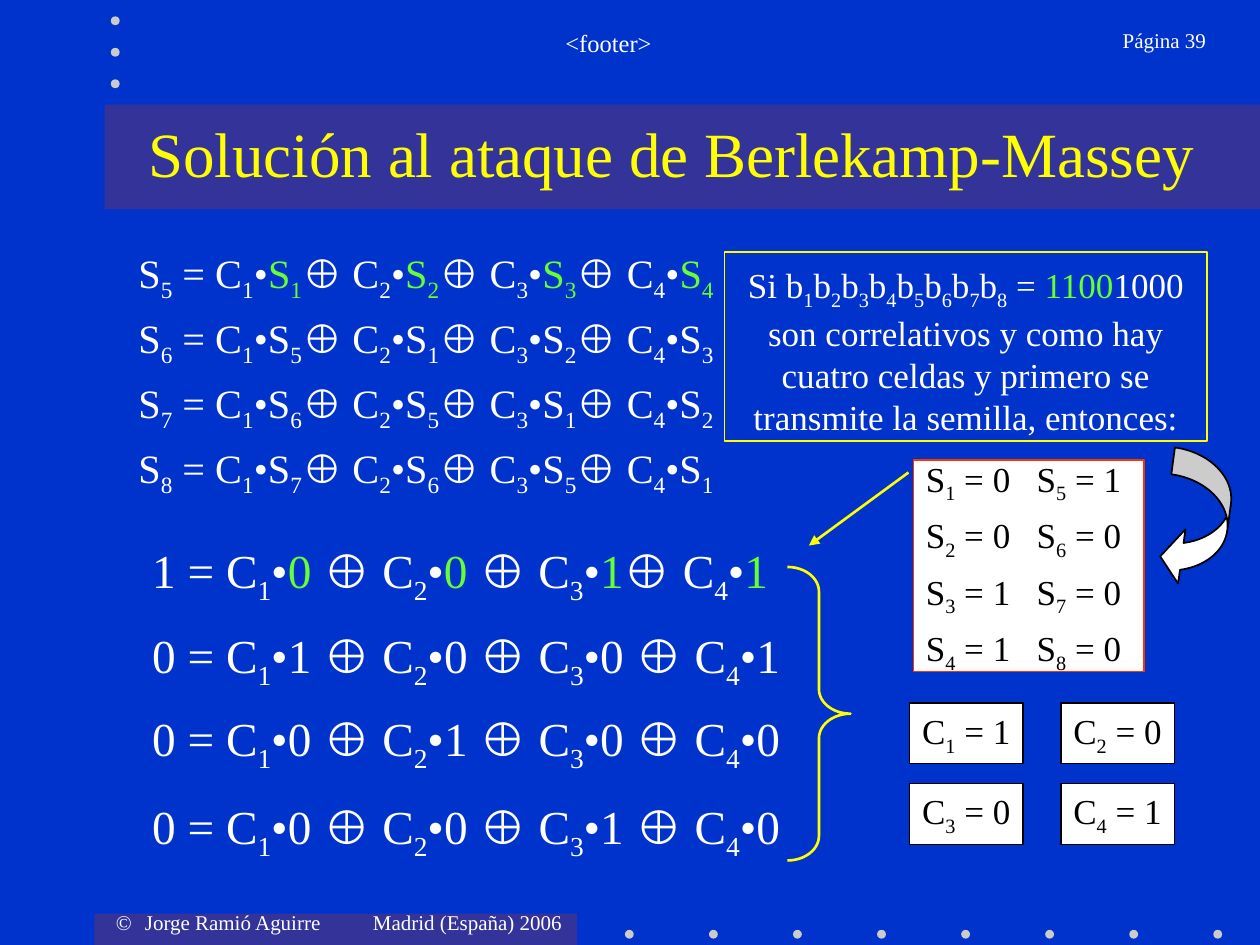
import itertools
from dataclasses import dataclass
from typing import Iterator, Optional

import pptx
import pptx.dml.color
import pptx.enum.shapes
import pptx.enum.text
import pptx.oxml
import pptx.oxml.ns
import pptx.util

Inches = pptx.util.Inches
Pt = pptx.util.Pt
Shape = pptx.enum.shapes.MSO_SHAPE
Align = pptx.enum.text.PP_ALIGN
Anchor = pptx.enum.text.MSO_ANCHOR

WHITE, BLACK, YELLOW, GREEN = "FFFFFF", "000000", "FFFF00", "66FF33"
BAND, DOT, RED, BLUE = "333399", "CBCBCB", "FF3300", "0033CC"


@dataclass(frozen=True)
class Box:
    left: float
    top: float
    width: float
    height: float

    def lengths(self) -> tuple:
        return tuple(Inches(n) for n in (self.left, self.top, self.width, self.height))


@dataclass(frozen=True)
class Coefficient:
    index: int
    value: int
    column: int
    row: int


def rgb(code: str):
    return pptx.dml.color.RGBColor.from_string(code)


def styled_pieces(markup: str, color: str) -> Iterator[tuple]:
    """Split markup: _n is a subscript digit, {...} is green."""
    letters = []
    subscript, ink = False, color
    for letter in markup:
        if letter == "_":
            subscript = True
        elif letter in "{}":
            ink = GREEN if letter == "{" else color
        else:
            font = "Arial" if letter == "⊕" else "Times New Roman"
            letters.append((letter, (subscript, ink, font)))
            subscript = False
    for style, group in itertools.groupby(letters, key=lambda pair: pair[1]):
        yield "".join(letter for letter, _ in group), style


def write(shape, *lines: str, size: float, color: str = WHITE, align=Align.LEFT,
          anchor=Anchor.TOP, space: float = 0, inset: float = 0.1,
          right_inset: float = 0.1, margin: float = 0.05, wrap: bool = True,
          tabs: tuple = ()) -> None:
    frame = shape.text_frame
    frame.word_wrap = wrap
    frame.vertical_anchor = anchor
    frame.margin_left, frame.margin_right = Inches(inset), Inches(right_inset)
    frame.margin_top = frame.margin_bottom = Inches(margin)
    for number, line in enumerate(lines):
        paragraph = frame.add_paragraph() if number else frame.paragraphs[0]
        paragraph.alignment = align
        paragraph.space_before = Pt(space if number else 0)
        if tabs:
            stops = pptx.oxml.ns.qn("a:tabLst")
            tab_list = paragraph._p.get_or_add_pPr().makeelement(stops, {})
            for position in tabs:
                tab_list.append(tab_list.makeelement(
                    pptx.oxml.ns.qn("a:tab"),
                    {"pos": str(Inches(position)), "algn": "l"}))
            paragraph._p.get_or_add_pPr().append(tab_list)
        for text, (subscript, ink, font) in styled_pieces(line, color):
            run = paragraph.add_run()
            run.text = text
            run.font.size, run.font.name = Pt(size), font
            run.font.color.rgb = rgb(ink)
            if subscript:
                run._r.get_or_add_rPr().set("baseline", "-25000")


def add_text(slide, box: Box, *lines: str, **formatting) -> None:
    write(slide.shapes.add_textbox(*box.lengths()), *lines, **formatting)


def add_figure(slide, kind, box: Box, fill: Optional[str] = None,
               line: Optional[str] = None, weight: float = 0.75):
    figure = slide.shapes.add_shape(kind, *box.lengths())
    figure.shadow.inherit = False
    if fill:
        figure.fill.solid()
        figure.fill.fore_color.rgb = rgb(fill)
    else:
        figure.fill.background()
    if line:
        figure.line.color.rgb = rgb(line)
        figure.line.width = Pt(weight)
    else:
        figure.line.fill.background()
    return figure


def add_arrow(slide, start: tuple, end: tuple, color: str, weight: float) -> None:
    arrow = slide.shapes.add_connector(
        pptx.enum.shapes.MSO_CONNECTOR.STRAIGHT, *(Inches(n) for n in start + end))
    arrow.line.color.rgb = rgb(color)
    arrow.line.width = Pt(weight)
    qn = pptx.oxml.ns.qn
    outline = arrow.line._get_or_add_ln()
    outline.append(outline.makeelement(qn("a:tailEnd"), {"type": "triangle"}))
    properties = arrow._element.spPr
    properties.append(properties.makeelement(qn("a:effectLst"), {}))


def draw_background(slide) -> None:
    slide.background.fill.solid()
    slide.background.fill.fore_color.rgb = rgb(BLUE)
    for band in (Box(0.75, 7.25, 3.83, 0.25), Box(0.83, 0.83, 9.17, 0.83)):
        add_figure(slide, Shape.RECTANGLE, band, fill=BAND)
    bottom_dots = [(4.96 + i * 4.67 / 7, 7.38) for i in range(8)]
    top_dots = [(0.88, 0.13 + i * 0.25) for i in range(3)]
    for left, top in bottom_dots + top_dots:
        add_figure(slide, Shape.OVAL, Box(left, top, 0.07, 0.07), fill=DOT)
    add_text(slide, Box(0.72, 7.17, 3.85, 0.34),
             "©\tJorge Ramió Aguirre\tMadrid (España) 2006",
             size=12, inset=0.2, right_inset=0, tabs=(0.23, 2.04))
    add_text(slide, Box(1.58, 0.17, 6.5, 0.5), "<footer>", size=14, align=Align.CENTER)
    add_text(slide, Box(8.3, 0.17, 1.37, 0.5), "Página 39", size=12, align=Align.RIGHT)
    add_text(slide, Box(0.83, 0.83, 9, 0.75), "Solución al ataque de Berlekamp-Massey",
             size=36, color=YELLOW, align=Align.CENTER, anchor=Anchor.MIDDLE)


def draw_equations(slide) -> None:
    recurrences = ["S_5 = " + "⊕ ".join(f"C_{i}•{{S_{i}}}" for i in range(1, 5))]
    for result, states in ((6, "5123"), (7, "6512"), (8, "7651")):
        terms = (f"C_{i}•S_{state}" for i, state in enumerate(states, 1))
        recurrences.append(f"S_{result} = " + "⊕ ".join(terms))
    add_text(slide, Box(1, 1.92, 5.5, 2.33), *recurrences, size=23, space=5.8)

    substitutions = (
        (4.25, "1 = C_1•{0} ⊕ C_2•{0} ⊕ C_3•{1}⊕ C_4•{1}"),
        (4.92, "0 = C_1•1 ⊕ C_2•0 ⊕ C_3•0 ⊕ C_4•1"),
        (5.58, "0 = C_1•0 ⊕ C_2•1 ⊕ C_3•0 ⊕ C_4•0"),
        (6.28, "0 = C_1•0 ⊕ C_2•0 ⊕ C_3•1 ⊕ C_4•0"),
    )
    for top, equation in substitutions:
        add_text(slide, Box(1.11, top, 5.23, 0.61), equation, size=27)
    brace = add_figure(slide, Shape.RIGHT_BRACE, Box(6.25, 4.5, 0.5, 2.33),
                       line=YELLOW, weight=1.5)
    brace.adjustments[0], brace.adjustments[1] = 0.39, 0.5


def draw_solution(slide) -> None:
    premise = add_figure(slide, Shape.RECTANGLE, Box(5.75, 2, 3.83, 1.5), line=YELLOW)
    bits = "".join(f"b_{i}" for i in range(1, 9))
    write(premise, f"Si {bits} = {{1100}}1000 son correlativos y como hay cuatro "
          "celdas y primero se transmite la semilla, entonces:",
          size=20, align=Align.CENTER, margin=0.09)

    states = add_figure(slide, Shape.RECTANGLE, Box(7.25, 3.65, 1.83, 1.68),
                        fill=WHITE, line=RED)
    sequence = "00111000"
    write(states, *(f"S_{i + 1} = {sequence[i]}\tS_{i + 5} = {sequence[i + 4]}"
                    for i in range(4)),
          size=20, color=BLACK, anchor=Anchor.MIDDLE, space=5, tabs=(0.88,))
    add_arrow(slide, (7.21, 3.75), (6.42, 4.33), YELLOW, 1.5)

    for item in (Coefficient(1, 1, 0, 0), Coefficient(2, 0, 1, 0),
                 Coefficient(3, 0, 0, 1), Coefficient(4, 1, 1, 1)):
        place = Box(7.22 + item.column * 1.2, 5.58 + item.row * 0.64, 0.9, 0.48)
        result = add_figure(slide, Shape.RECTANGLE, place, fill=WHITE, line=BLACK)
        write(result, f"C_{item.index} = {item.value}", size=20, color=BLACK, wrap=False)

    turn = add_figure(slide, Shape.CURVED_LEFT_ARROW, Box(9.25, 3.58, 0.5, 1.09),
                      fill=WHITE, line=BLACK, weight=1)
    turn.rotation = 7.7
    for number, proportion in enumerate((0.43, 0.87, 0.34)):
        turn.adjustments[number] = proportion


def main() -> None:
    deck = pptx.Presentation()
    deck.slide_width, deck.slide_height = Inches(10), Inches(7.5)
    slide = deck.slides.add_slide(deck.slide_layouts[6])
    draw_background(slide)
    draw_equations(slide)
    draw_solution(slide)
    deck.save("out.pptx")


if __name__ == "__main__":
    main()
